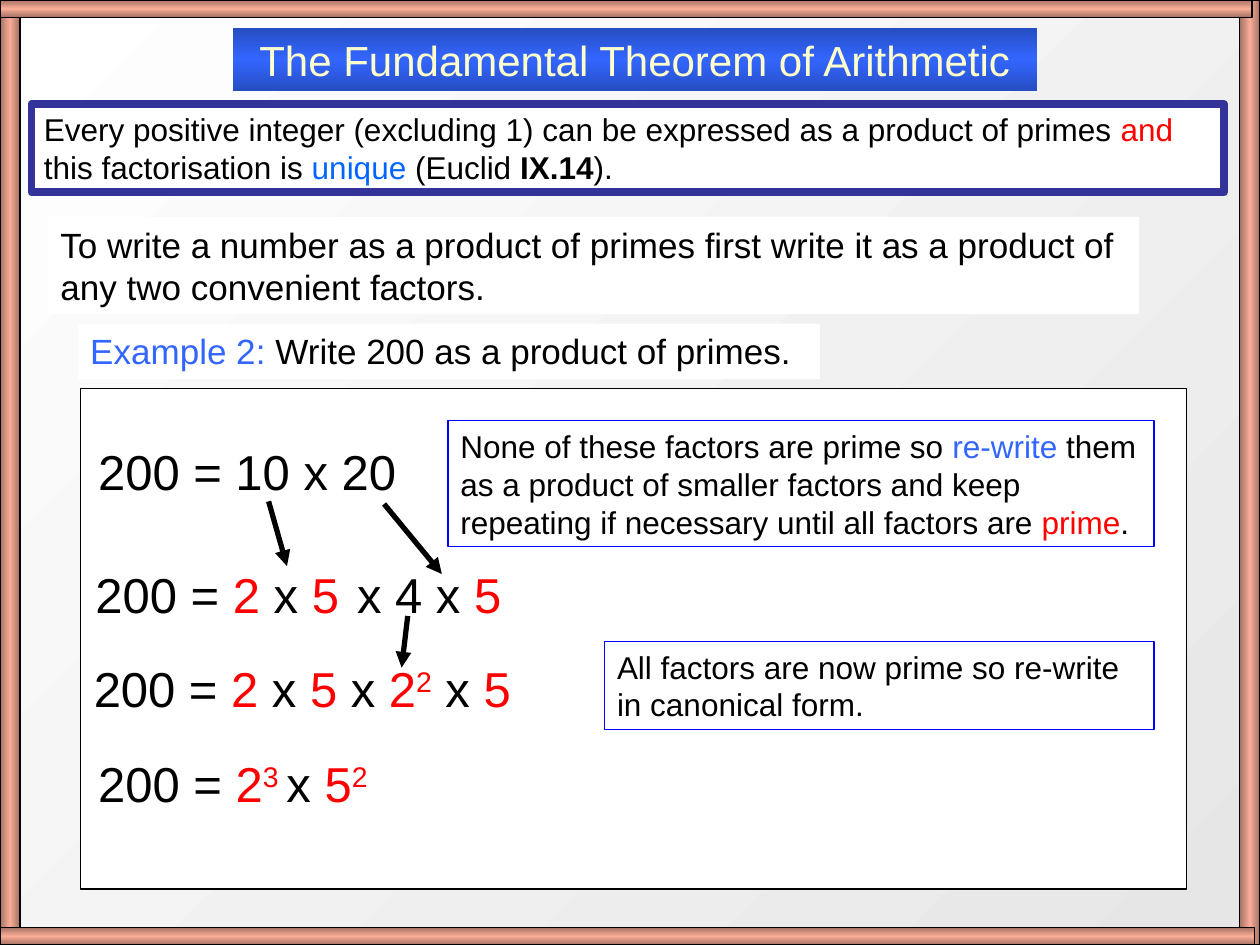
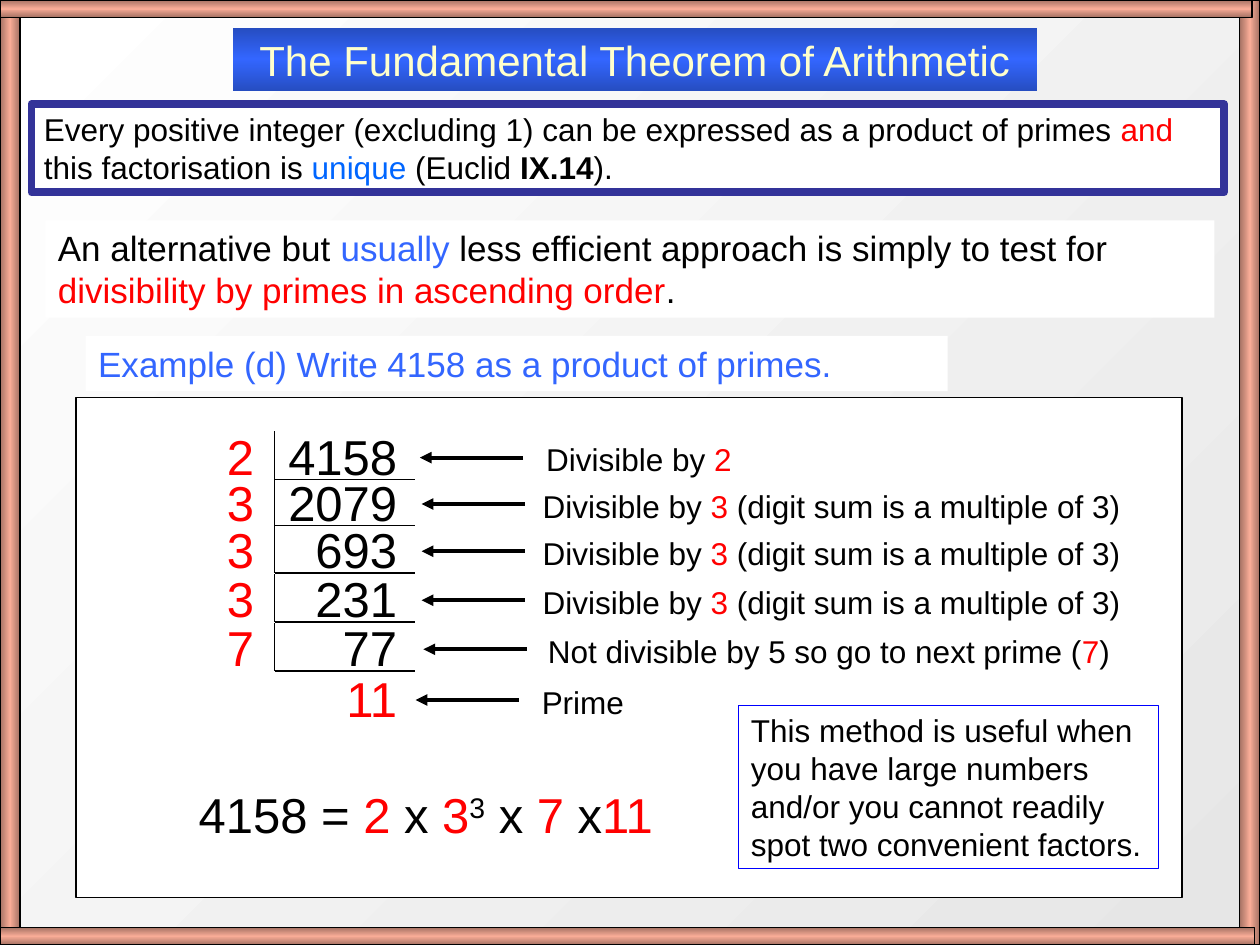
from dataclasses import dataclass

from lxml import etree
from pptx import Presentation
from pptx import util as u
from pptx.dml import color
from pptx.enum import shapes, text
from pptx.oxml import ns

Pt = u.Pt


@dataclass(frozen=True)
class Theme:
    font: str = "Arial"
    black: str = "000000"
    white: str = "FFFFFF"
    red: str = "FF0000"
    blue: str = "3366FF"
    link: str = "0066FF"
    note_line: str = "0000FF"
    statement_line: str = "333399"
    title_text: str = "FFFFCC"
    title_fill: tuple = ("264DC1", "3366FF", "264DC1")
    frame_fill: tuple = ("A47163", "F9AC97", "A47163")
    backdrop: tuple = ("E6E6E6", "FFFFFF")
    title: int = 24
    lead: int = 20
    body: int = 18
    sums: int = 28


THEME = Theme()
WIDTH, HEIGHT = 720, 540
TITLE = "The Fundamental Theorem of Arithmetic"
STATEMENT = [
    "Every positive integer (excluding 1) can be expressed as a product of primes ",
    ("and", "red"), " this factorisation is ", ("unique ", "link"),
    "(Euclid ", ("IX.14", "bold"), ").",
]
BY_THREE = ["Divisible by ", ("3 ", "red"), "(digit sum is a multiple of 3)"]
DIVISIONS = [
    (240, "2", "4158", 240, 305, ["Divisible by ", ("2", "red")]),
    (266.5, "3", "2079", 241, 303, BY_THREE),
    (293.5, "3", "693", 241, 303, BY_THREE),
    (321.5, "3", "231", 241, 303, BY_THREE),
    (349.5, "7", "77", 242, 306,
     ["Not divisible by 5 so go to next prime (", ("7", "red"), ")"]),
    (378.5, None, ("11", "red"), 237.5, 302.5, ["Prime"]),
]


def rgb(value):
    return color.RGBColor.from_string(value)


def fill_gradient(fill, element, colours, angle):
    fill.gradient()
    fill.gradient_angle = angle
    stops = next(element.iter(ns.qn("a:gsLst")))
    for stop in list(stops):
        stops.remove(stop)
    for index, value in enumerate(colours):
        stop = etree.SubElement(stops, ns.qn("a:gs"))
        stop.set("pos", str(100000 * index // (len(colours) - 1)))
        etree.SubElement(stop, ns.qn("a:srgbClr")).set("val", value)


def add_panel(page, place, fill=None, line=None, weight=0.75, angle=90):
    panel = page.shapes.add_shape(shapes.MSO_SHAPE.RECTANGLE, *map(Pt, place))
    panel.shadow.inherit = False
    if fill is None:
        panel.fill.background()
    elif isinstance(fill, tuple):
        fill_gradient(panel.fill, panel._element.spPr, fill, angle)
    else:
        panel.fill.solid()
        panel.fill.fore_color.rgb = rgb(fill)
    if line:
        panel.line.color.rgb = rgb(line)
        panel.line.width = Pt(weight)
    else:
        panel.line.fill.background()
    return panel


def write(box, spans, size=THEME.body, ink="black", align=text.PP_ALIGN.LEFT):
    frame = box.text_frame
    frame.word_wrap = True
    frame.vertical_anchor = text.MSO_ANCHOR.TOP
    para = frame.paragraphs[0]
    para.alignment = align
    for item in spans:
        words, style = item if isinstance(item, tuple) else (item, "")
        styles = style.split()
        shade = next((s for s in styles if s in ("red", "blue", "link")), ink)
        span = para.add_run()
        span.text = words
        span.font.name = THEME.font
        span.font.size = Pt(size)
        span.font.bold = "bold" in styles
        span.font.color.rgb = rgb(getattr(THEME, shade))
        if "up" in styles:
            span._r.get_or_add_rPr().set("baseline", "30000")


def add_text(page, place, spans, **style):
    write(page.shapes.add_textbox(*map(Pt, place)), spans, **style)


def add_sum(page, left, top, width, spans, **style):
    add_text(page, (left, top, width, 41), spans, size=THEME.sums, **style)


def add_lead(page, place, spans, **style):
    write(add_panel(page, place, THEME.white), spans, size=THEME.lead, **style)


def add_note(page, place, spans):
    write(add_panel(page, place, line=THEME.note_line), spans)


def add_line(page, start, end, weight=0.75, arrow=False):
    line = page.shapes.add_connector(
        shapes.MSO_CONNECTOR.STRAIGHT, *map(Pt, start + end))
    line.line.color.rgb = rgb(THEME.black)
    line.line.width = Pt(weight)
    if arrow:
        outline = line.line._get_or_add_ln()
        etree.SubElement(outline, ns.qn("a:tailEnd")).set("type", "triangle")
    etree.SubElement(line._element.spPr, ns.qn("a:effectLst"))


def add_page(deck, panel_place):
    page = deck.slides.add_slide(deck.slide_layouts[6])
    fill_gradient(page.background.fill, page._element, THEME.backdrop, 135)
    add_panel(page, panel_place, THEME.white, THEME.black)
    for left in (0, WIDTH - 11.5):
        add_panel(page, (left, 0, 11.5, HEIGHT), THEME.frame_fill, THEME.black, angle=180)
    for top, width in ((0, 715.5), (HEIGHT - 10, 717)):
        add_panel(page, (0, top, width, 10), THEME.frame_fill, THEME.black)
    title = add_panel(page, (133, 16, 459.5, 36), THEME.title_fill)
    write(title, [TITLE], size=THEME.title, ink="title_text", align=text.PP_ALIGN.CENTER)
    statement = add_panel(
        page, (18, 59.5, 681.5, 50.5), THEME.white, THEME.statement_line, 4.5)
    write(statement, STATEMENT)
    return page


def build_factor_page(deck):
    page = add_page(deck, (46, 222, 632, 286))
    add_lead(page, (27.5, 124, 623.5, 55.5), [
        "To write a number as a product of primes first write it as a product of "
        "any two convenient factors."])
    add_lead(page, (44.5, 185, 424, 31.5), [
        ("Example 2: ", "blue"), "Write 200 as a product of primes."])

    add_sum(page, 49, 249, 208, ["200 = 10 x 20"])
    add_sum(page, 47.5, 319, 158, ["200 = ", ("2", "red"), " x ", ("5", "red")])
    add_sum(page, 197, 319, 135, ["x 4 x ", ("5", "red")])
    add_sum(page, 46.5, 372.5, 323, [
        "200 = ", ("2 ", "red"), "x ", ("5", "red"), " x ",
        ("2", "red"), ("2", "red up"), " x ", ("5", "red")])
    add_sum(page, 49, 427, 323, [
        "200 = ", ("2", "red"), ("3 ", "red up"), "x ", ("5", "red"), ("2", "red up")])

    for start, end in (
        ((153.5, 286.5), (164, 323.5)),
        ((219.5, 288), (252.5, 328)),
        ((233, 352), (229.5, 381.5)),
    ):
        add_line(page, start, end, weight=3, arrow=True)

    add_note(page, (256, 240.5, 403.5, 72), [
        "None of these factors are prime so ", ("re-write", "blue"),
        " them as a product of smaller factors and keep repeating if necessary "
        "until all factors are ", ("prime", "red"), "."])
    add_note(page, (345.5, 366.5, 314, 50.5), [
        "All factors are now prime so re-write in canonical form."])


def add_division(page, top, divisor, number, tip, note_left, note):
    bar, base, middle = 157, top + 34, top + 21.5
    add_sum(page, bar, top, 77, [number], align=text.PP_ALIGN.RIGHT)
    if divisor:
        add_sum(page, 122.5, top, 43, [(divisor, "red")])
        add_line(page, (bar, base - 27.5), (bar, base))
        add_line(page, (bar, base), (237, base))
    add_line(page, (tip + 59, middle), (tip, middle), weight=2.25, arrow=True)
    add_text(page, (note_left, middle - 13.5, 360, 29), note)


def build_division_page(deck):
    page = add_page(deck, (43.5, 227, 632, 286))
    add_lead(page, (26, 126, 668, 55.5), [
        "An alternative but ", ("usually", "blue"),
        " less efficient approach is simply to test for ",
        ("divisibility by primes in ascending order", "red"), "."])
    add_lead(page, (49, 192, 492.5, 31.5),
             ["Example (d) Write 4158 as a product of primes."], ink="blue")
    for division in DIVISIONS:
        add_division(page, *division)
    add_sum(page, 106.5, 444.5, 282, [
        "4158 = ", ("2", "red"), " x ", ("3", "red"), ("3", "up"), " x ",
        ("7", "red"), " x", ("11", "red")])
    add_note(page, (422, 403, 240, 93.5), [
        "This method is useful when you have large numbers and/or you cannot "
        "readily spot two convenient factors."])


def main():
    deck = Presentation()
    deck.slide_width, deck.slide_height = Pt(WIDTH), Pt(HEIGHT)
    build_factor_page(deck)
    build_division_page(deck)
    deck.save("out.pptx")


if __name__ == "__main__":
    main()
